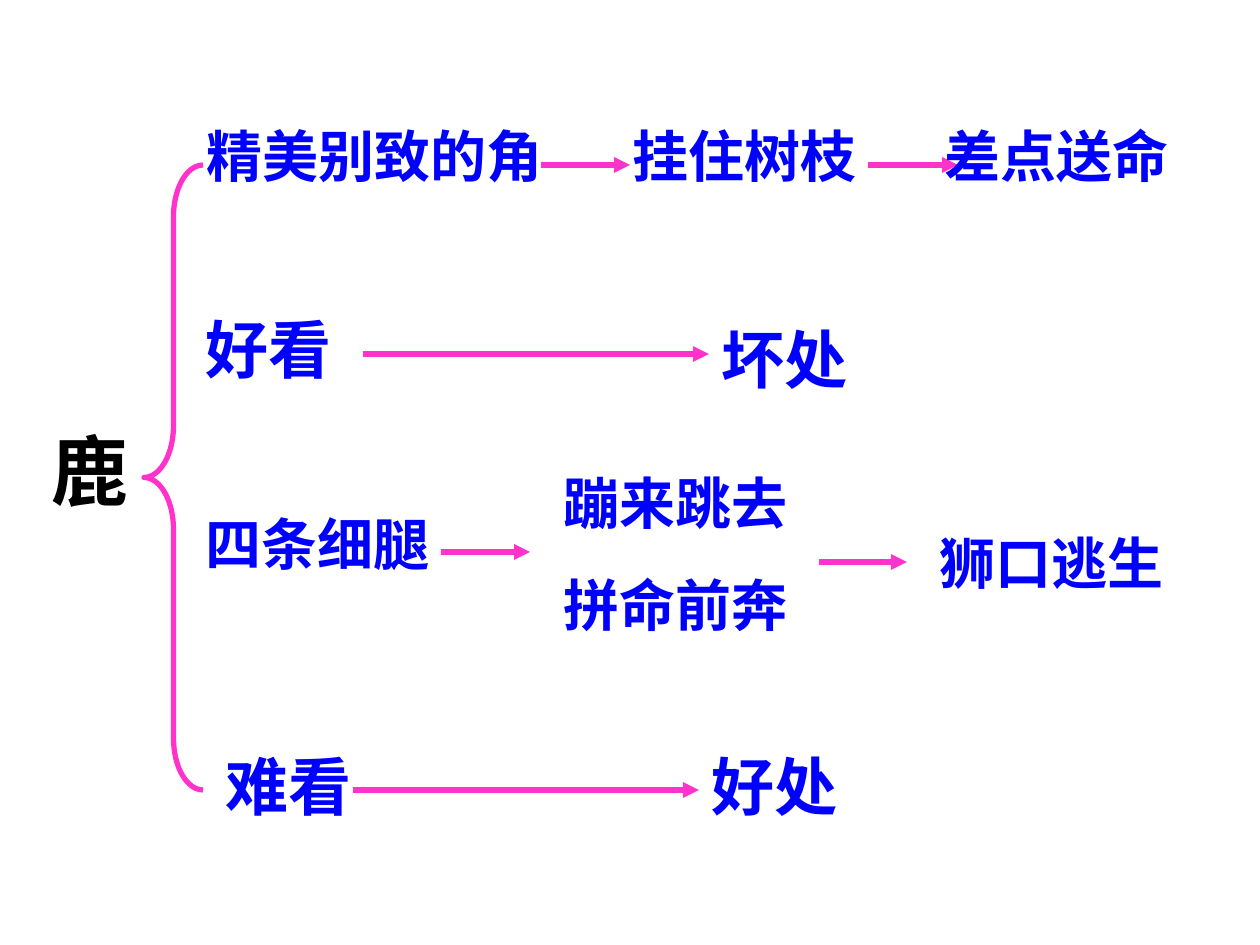
"""Build the slide that maps the deer's antlers and legs to their outcomes."""
from lxml.etree import SubElement
from pptx import Presentation
from pptx.dml.color import RGBColor
from pptx.enum.shapes import MSO_CONNECTOR as Connector, MSO_SHAPE as Shape
from pptx.oxml.ns import qn
from pptx.util import Pt

SCALE = 914400 / 126
COLORS = {"subject": "000000", "phrase": "0000FF", "link": "FF33CC"}


def emu(*lengths):
    return [round(length * SCALE) for length in lengths]


def style_line(line):
    line.color.rgb = RGBColor.from_string(COLORS["link"])
    line.width = Pt(3)


deck = Presentation()
deck.slide_width, deck.slide_height = emu(1260, 945)
slide = deck.slides.add_slide(deck.slide_layouts[6])

brace = slide.shapes.add_shape(Shape.LEFT_BRACE, *emu(144, 165, 59, 625))
brace.shadow.inherit = False
brace.fill.background()
brace.adjustments[0] = 0.88
style_line(brace.line)

links = [
    (541, 630, 165),
    (868, 958, 165),
    (363, 709, 354),
    (441, 530, 552),
    (819, 907, 562),
    (353, 699, 790),
]
for start, end, y in links:
    arrow = slide.shapes.add_connector(Connector.STRAIGHT, *emu(start, y, end, y))
    style_line(arrow.line)
    SubElement(arrow.line._get_or_add_ln(), qn("a:tailEnd"), type="triangle")
    SubElement(arrow._element.spPr, qn("a:effectLst"))

phrases = [
    ("鹿", 39, 417, 154, 106, 44, "subject"),
    ("精美别致的角", 194, 115, 407, 81, 32, "phrase"),
    ("挂住树枝", 620, 115, 367, 81, 32, "phrase"),
    ("差点送命", 932, 115, 328, 81, 32, "phrase"),
    ("好看", 193, 304, 169, 88, 36, "phrase"),
    ("坏处", 709, 314, 218, 88, 36, "phrase"),
    ("四条细腿", 193, 503, 268, 81, 32, "phrase"),
    ("蹦来跳去\n拼命前奔", 551, 462, 268, 183, 32, "phrase"),
    ("狮口逃生", 927, 522, 277, 81, 32, "phrase"),
    ("难看", 213, 741, 169, 88, 36, "phrase"),
    ("好处", 699, 741, 159, 88, 36, "phrase"),
]
for words, left, top, width, height, size, role in phrases:
    frame = slide.shapes.add_textbox(*emu(left, top, width, height)).text_frame
    frame.word_wrap = True
    frame.text = words
    for index, paragraph in enumerate(frame.paragraphs):
        if index:
            paragraph.space_before = Pt(20)
        font = paragraph.runs[0].font
        font.name = "Arial"
        font.size = Pt(size)
        font.bold = True
        font.color.rgb = RGBColor.from_string(COLORS[role])

deck.save("out.pptx")
